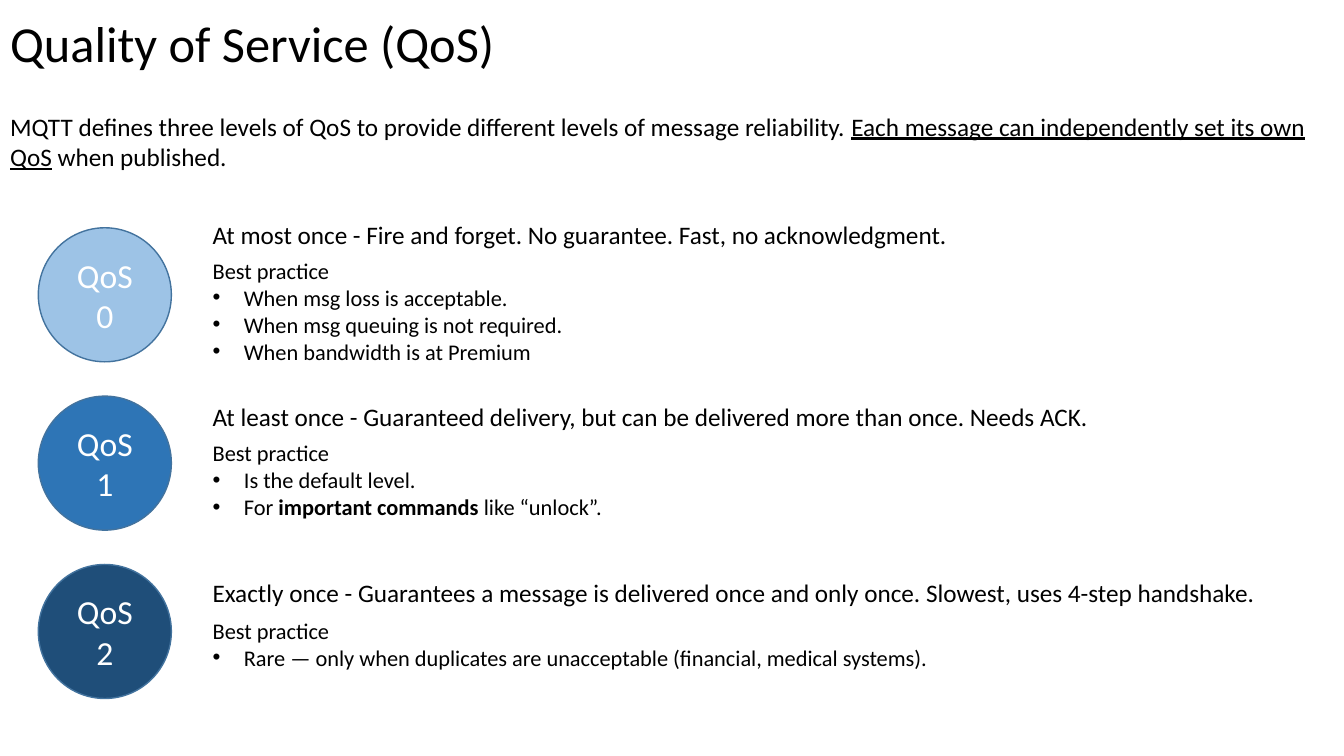
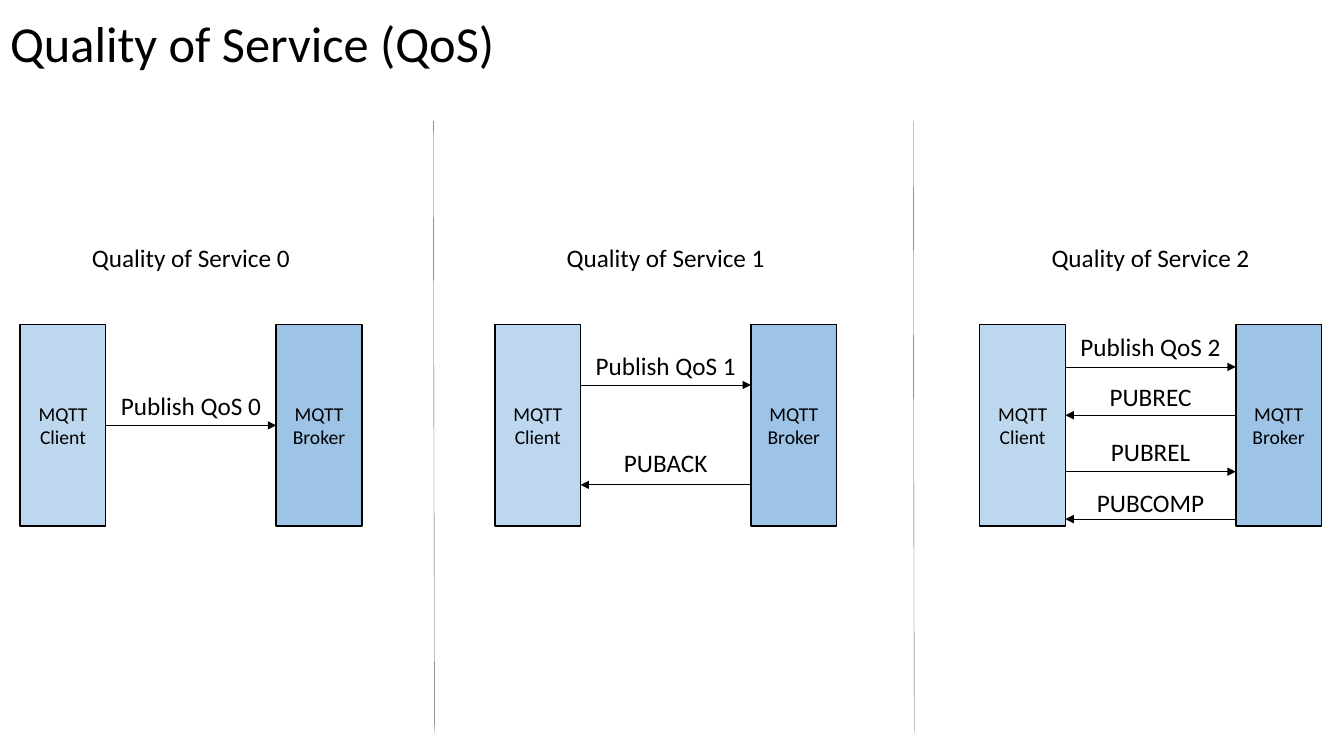
import dataclasses

import lxml.etree
import pptx
import pptx.dml.color
import pptx.enum.shapes
import pptx.enum.text
import pptx.oxml.ns
import pptx.util

COLS, ROWS = 40, 22.5  # square grid cells, a third of an inch each
SHAPE = pptx.enum.shapes.MSO_SHAPE
ALIGN = pptx.enum.text.PP_ALIGN
ANCHOR = pptx.enum.text.MSO_ANCHOR
RIGHT, LEFT = "right", "left"


@dataclasses.dataclass(frozen=True)
class Theme:
    font: str = "Calibri"
    ink: str = "000000"
    paper: str = "FFFFFF"
    rim: str = "43739E"
    divider: str = "595959"
    client: str = "BDD7EE"
    broker: str = "9DC3E6"
    levels: tuple = ("9DC3E6", "2E75B6", "1F4E79")
    title: int = 36
    badge: int = 24
    body: int = 18
    detail: int = 16
    box: int = 14


THEME = Theme()


def rgb(value):
    return pptx.dml.color.RGBColor.from_string(value)


def sub(parent, tag, **attrs):
    return lxml.etree.SubElement(parent, pptx.oxml.ns.qn(tag), **attrs)


def write(sp, paragraphs, size=THEME.body, color=THEME.ink, align=ALIGN.LEFT,
          anchor=ANCHOR.TOP, wrap=True, spacing=1.0, bullets_from=None):
    """Fill a shape; a paragraph is a string or a list of (text, format) runs."""
    tf = sp.text_frame
    tf.auto_size = pptx.enum.text.MSO_AUTO_SIZE.NONE
    tf.word_wrap, tf.vertical_anchor = wrap, anchor
    for i, content in enumerate(paragraphs):
        p = tf.add_paragraph() if i else tf.paragraphs[0]
        p.alignment, p.line_spacing = align, spacing
        p.space_before = p.space_after = pptx.util.Pt(0)
        bulleted = bullets_from is not None and i >= bullets_from
        pPr = p._p.get_or_add_pPr()
        indent = pptx.util.Inches(0.31) if bulleted else 0
        pPr.set("marL", str(indent))
        pPr.set("indent", str(-indent))
        if bulleted:
            sub(pPr, "a:buFont", typeface="Arial")
            sub(pPr, "a:buChar", char="•")
        else:
            sub(pPr, "a:buNone")
        runs = [(content, {})] if isinstance(content, str) else content
        for text, style in runs:
            r = p.add_run()
            r.text = text
            r.font.name, r.font.size = THEME.font, pptx.util.Pt(size)
            r.font.color.rgb = rgb(color)
            r.font.bold = style.get("bold", False)
            r.font.underline = style.get("underline", False)


class Deck:
    """The presentation, its style and the slide being drawn."""

    def __init__(self, theme):
        self.theme = theme
        self.prs = pptx.Presentation()
        self.prs.slide_width = pptx.util.Inches(13.333)
        self.prs.slide_height = pptx.util.Inches(7.5)
        self.s = None

    def x(self, cols):
        return round(self.prs.slide_width * cols / COLS)

    def y(self, rows):
        return round(self.prs.slide_height * rows / ROWS)

    def area(self, left, top, width, height):
        return self.x(left), self.y(top), self.x(width), self.y(height)

    def slide(self, title, layout):
        self.s = self.prs.slides.add_slide(
            self.prs.slide_layouts.get_by_name(layout))
        sp = self.s.shapes.title
        self.place(sp, 0, 0, 34.5, 2.73)
        write(sp, [title], size=self.theme.title, anchor=ANCHOR.MIDDLE,
              spacing=0.9)

    def place(self, sp, *cells):
        sp.left, sp.top, sp.width, sp.height = self.area(*cells)

    def body(self, idx, cells, paragraphs, **fmt):
        sp = self.s.placeholders[idx]
        self.place(sp, *cells)
        write(sp, paragraphs, **fmt)

    def label(self, cells, text, **fmt):
        sp = self.s.shapes.add_textbox(*self.area(*cells))
        write(sp, [text], wrap=False, **fmt)

    def shape(self, kind, cells, paragraphs, fill, line, **fmt):
        sp = self.s.shapes.add_shape(kind, *self.area(*cells))
        sp.shadow.inherit = False
        sp.fill.solid()
        sp.fill.fore_color.rgb = rgb(fill)
        sp.line.color.rgb = rgb(line)
        sp.line.width = pptx.util.Pt(1)
        write(sp, paragraphs, align=ALIGN.CENTER, anchor=ANCHOR.MIDDLE, **fmt)
        return sp

    def line(self, x1, y1, x2, y2, color, width):
        ln = self.s.shapes.add_connector(
            pptx.enum.shapes.MSO_CONNECTOR.STRAIGHT, x1, y1, x2, y2)
        ln.line.color.rgb = rgb(color)
        ln.line.width = pptx.util.Pt(width)
        sub(ln._element.spPr, "a:effectLst")
        return ln

    def divider(self, col):
        self.line(self.x(col), self.y(3.6), self.x(col + 0.03), self.y(21.8),
                  self.theme.divider, 0.25)

    def arrow(self, client, broker, row, direction):
        """Draw a message between facing box sides, joined at their middles."""
        ends = [(client, client.left + client.width, 3), (broker, broker.left, 1)]
        if direction == LEFT:
            ends.reverse()
        (start, x1, site1), (end, x2, site2) = ends
        y = self.y(row)
        ln = self.line(x1, y, x2, y, self.theme.ink, 0.5)
        sub(ln.line._get_or_add_ln(), "a:tailEnd", type="triangle")
        if abs(y - client.top - client.height // 2) < pptx.util.Pt(0.5):
            ln.begin_connect(start, site1)
            ln.end_connect(end, site2)


TITLE = "Quality of Service (QoS)"
INTRO = [
    ("MQTT defines three levels of QoS to provide different levels of "
     "message reliability. ", {}),
    ("Each message can independently set its own QoS", {"underline": True}),
    (" when published.", {}),
]

# Heading row, heading, width, list row, list height, practices
LEVELS = [
    (6.39, "At most once - Fire and forget. No guarantee. Fast, no "
           "acknowledgment.", 22.7, 7.5, 3.54,
     ["When msg loss is acceptable.", "When msg queuing is not required.",
      "When bandwidth is at Premium"]),
    (11.79, "At least once - Guaranteed delivery, but can be delivered more "
            "than once. Needs ACK.", 27, 12.93, 2.82,
     ["Is the default level.",
      [("For ", {}), ("important commands", {"bold": True}),
       (" like “unlock”.", {})]]),
    (17.04, "Exactly once - Guarantees a message is delivered once and only "
            "once. Slowest, uses 4-step handshake.", 32, 18.21, 1.92,
     ["Rare — only when duplicates are unacceptable (financial, medical "
      "systems)."]),
]

# Lane column, then messages: text, label row, arrow row, direction
LANES = [
    (0.6, [("Publish QoS 0", 11.46, 12.66, RIGHT)]),
    (14.73, [("Publish QoS 1", 10.29, 11.46, RIGHT),
             ("PUBACK", 13.17, 14.43, LEFT)]),
    (29.16, [("Publish QoS 2", 9.72, 10.92, RIGHT),
             ("PUBREC", 11.19, 12.36, LEFT),
             ("PUBREL", 12.84, 14.04, RIGHT),
             ("PUBCOMP", 14.37, 15.45, LEFT)]),
]


def levels_slide(deck):
    t = deck.theme
    deck.slide(TITLE, "Comparison")
    deck.body(1, (0, 3.15, 39.33, 2.13), [INTRO])
    for i, (row, heading, width, list_row, height, practices) in enumerate(LEVELS):
        deck.shape(SHAPE.OVAL, (1.14, 6.78 + 5.01 * i, 3.96, 3.99),
                   ["QoS", str(i)], t.levels[i], t.rim,
                   size=t.badge, color=t.paper)
        deck.label((6.03, row, width, 1.2), heading)
        deck.body(i + 2, (6.03, list_row, 32.88, height),
                  ["Best practice"] + practices, size=t.detail, bullets_from=1)


def handshakes_slide(deck):
    t = deck.theme
    box_w, box_h, box_top, broker_dx = 2.55, 6, 9.66, 7.62
    lane_w = broker_dx + box_w
    deck.slide(TITLE, "Title Only")
    for col in (12.9, 27.18):
        deck.divider(col)
    for i, (col, messages) in enumerate(LANES):
        deck.label((col, 7.05, lane_w, 1.2), f"Quality of Service {i}",
                   align=ALIGN.CENTER)
        client, broker = (
            deck.shape(SHAPE.RECTANGLE, (col + dx, box_top, box_w, box_h),
                       [name], fill, t.ink, size=t.box)
            for dx, name, fill in ((0, "MQTT Client", t.client),
                                   (broker_dx, "MQTT Broker", t.broker)))
        for text, label_row, arrow_row, direction in messages:
            deck.label((col + box_w, label_row, broker_dx - box_w, 1.2), text,
                       align=ALIGN.CENTER)
            deck.arrow(client, broker, arrow_row, direction)


def main():
    deck = Deck(THEME)
    levels_slide(deck)
    handshakes_slide(deck)
    deck.prs.save("out.pptx")


if __name__ == "__main__":
    main()
